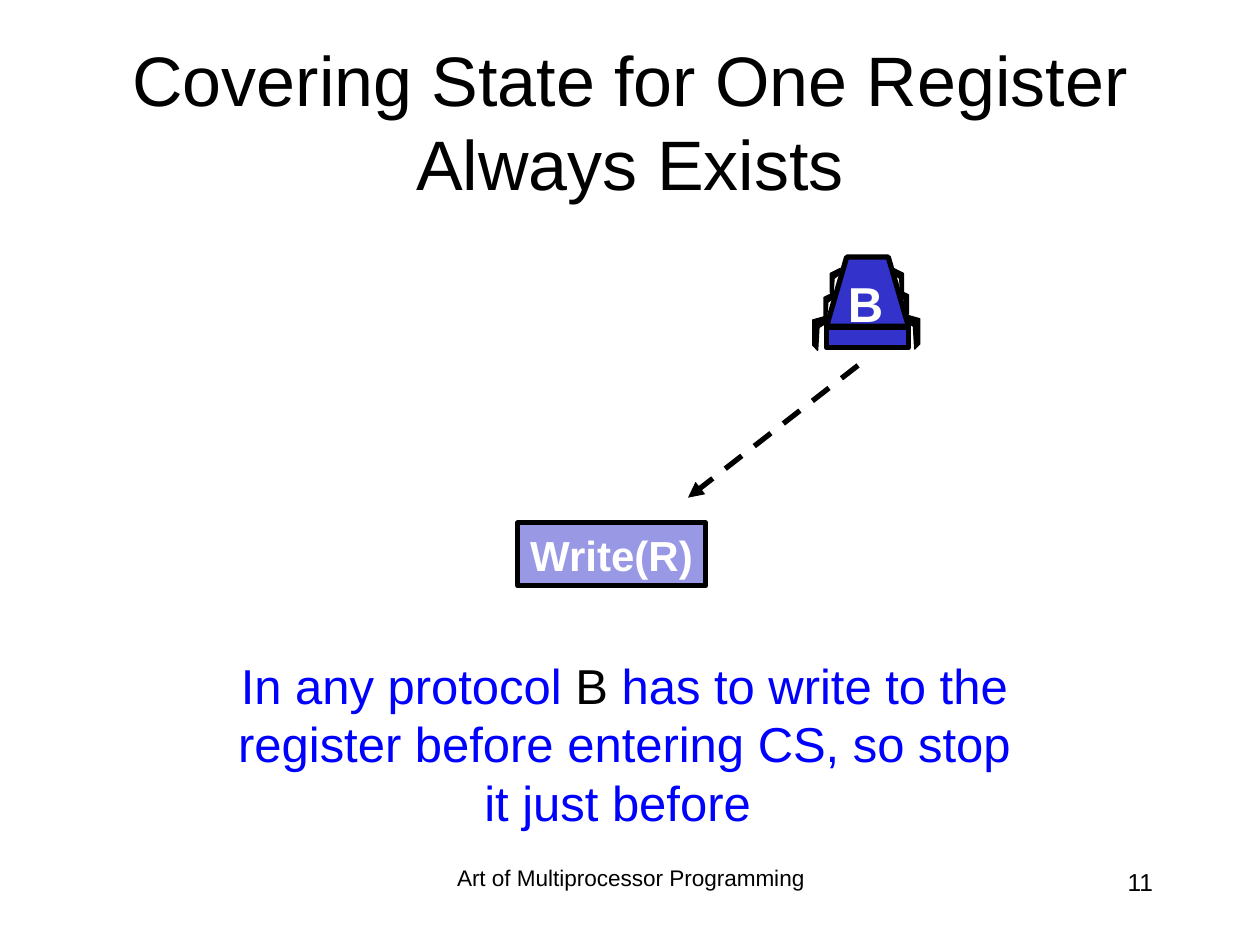
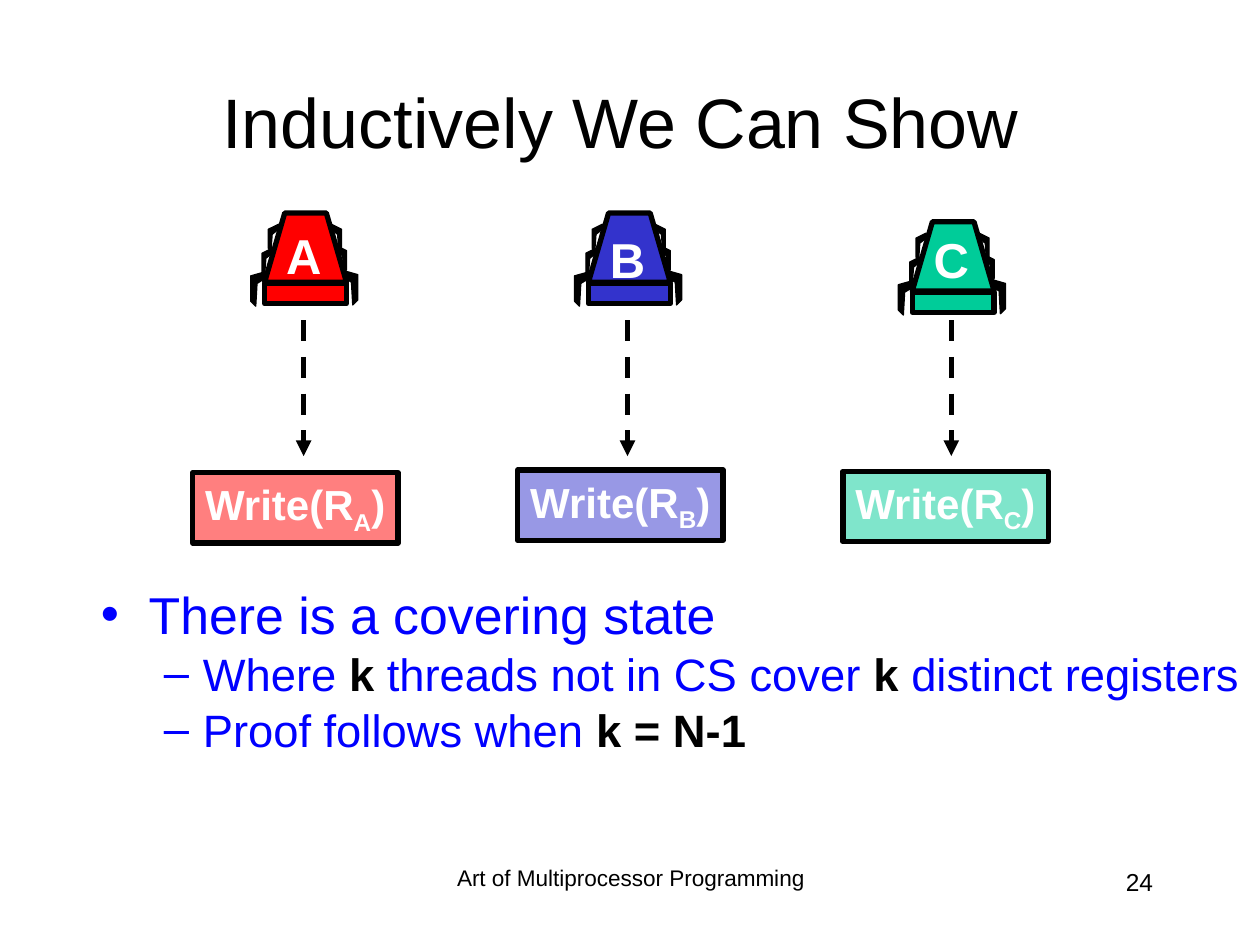
from dataclasses import dataclass
from typing import NamedTuple

from lxml.etree import SubElement
from pptx import Presentation
from pptx.dml.color import RGBColor
from pptx.enum.dml import MSO_LINE
from pptx.enum.shapes import MSO_CONNECTOR, MSO_SHAPE
from pptx.enum.text import MSO_ANCHOR, MSO_AUTO_SIZE, PP_ALIGN
from pptx.oxml.ns import qn
from pptx.util import Emu, Pt

PX = 9144  # EMU per px, 100 px to the inch
FONT = "Arial"

BLACK = RGBColor(0x00, 0x00, 0x00)
WHITE = RGBColor(0xFF, 0xFF, 0xFF)
BLUE = RGBColor(0x00, 0x00, 0xFF)
THREAD_A = RGBColor(0xFF, 0x00, 0x00)
THREAD_B = RGBColor(0x33, 0x33, 0xCC)
THREAD_C = RGBColor(0x00, 0xCC, 0x99)

BOOK = "Art of Multiprocessor Programming"

# Outlines in px, relative to the point where the leg joins the thread
SMALL_LEG = [(0, 0), (8, 4), (8, 19), (6, 22), (5, 8), (0, 4)]
BIG_LEG = [(0, 0), (14, 4), (14, 24), (10, 28), (9, 10), (1, 5)]
TORSO = [(0, 55), (16, 0), (49, 0), (65, 55)]


class Box(NamedTuple):
    left: int
    top: int
    width: int
    height: int


class Words(NamedTuple):
    text: str
    color: RGBColor = BLUE
    bold: bool = False
    baseline: int = 0


class Leg(NamedTuple):
    x: int
    y: int
    side: int  # 1 points right, -1 points left
    outline: list


BACK_LEGS = [Leg(60, 45, 1, BIG_LEG), Leg(57, 26, 1, SMALL_LEG),
             Leg(3, 46, -1, BIG_LEG), Leg(6, 28, -1, SMALL_LEG)]
FRONT_LEGS = [Leg(53, 9, 1, SMALL_LEG), Leg(11, 9, -1, SMALL_LEG)]


@dataclass
class Thread:
    letter: str
    color: RGBColor
    left: int
    top: int
    letter_drop: int = 8


@dataclass
class Register:
    color: RGBColor
    box: Box
    index: str = ""


@dataclass
class Bullet:
    level: int
    size: float
    space_before: int
    margin: int
    hanging: int
    words: list


def emu(*lengths: int) -> list:
    return [Emu(length * PX) for length in lengths]


def add_words(paragraph, words: list, size: float) -> None:
    for part in words:
        run = paragraph.add_run()
        run.text = part.text
        run.font.name = FONT
        run.font.size = Pt(size)
        run.font.bold = part.bold
        run.font.color.rgb = part.color
        if part.baseline:
            run.font._element.set("baseline", str(part.baseline * 1000))


def add_text(shapes, box: Box, words: list, size: float,
             align=PP_ALIGN.CENTER, wrap: bool = True):
    frame = shapes.add_textbox(*emu(*box)).text_frame
    frame.word_wrap = wrap
    paragraph = frame.paragraphs[0]
    paragraph.alignment = align
    add_words(paragraph, words, size)
    return paragraph


def paint(shape, fill: RGBColor, line_width: float) -> None:
    shape.shadow.inherit = False
    shape.fill.solid()
    shape.fill.fore_color.rgb = fill
    shape.line.color.rgb = BLACK
    shape.line.width = Pt(line_width)


def draw_outline(shapes, points: list, fill: RGBColor, line_width: float) -> None:
    builder = shapes.build_freeform(*points[0], scale=PX)
    builder.add_line_segments(points[1:], close=True)
    paint(builder.convert_to_shape(), fill, line_width)


def draw_thread(slide, thread: Thread) -> None:
    parts = slide.shapes.add_group_shape().shapes
    left, top = thread.left, thread.top

    def draw_legs(legs: list) -> None:
        for leg in legs:
            points = [(left + leg.x + leg.side * x, top + leg.y + y)
                      for x, y in leg.outline]
            draw_outline(parts, points, BLACK, 0.75)

    draw_legs(BACK_LEGS)
    draw_outline(parts, [(left + x, top + y) for x, y in TORSO], thread.color, 3)
    base = parts.add_shape(MSO_SHAPE.RECTANGLE, *emu(left, top + 56, 65, 16))
    paint(base, thread.color, 3)
    draw_legs(FRONT_LEGS)
    add_text(parts, Box(left + 7, top + thread.letter_drop, 48, 57),
             [Words(thread.letter, WHITE, True)], 28, wrap=False)


def draw_register(slide, register: Register) -> None:
    """Draw the half-transparent box of a pending write."""
    shape = slide.shapes.add_shape(MSO_SHAPE.RECTANGLE, *emu(*register.box))
    paint(shape, register.color, 3)
    tint = shape.element.spPr.find(qn("a:solidFill")).find(qn("a:srgbClr"))
    SubElement(tint, qn("a:alpha")).set("val", "50000")
    frame = shape.text_frame
    frame.word_wrap = False
    frame.auto_size = MSO_AUTO_SIZE.SHAPE_TO_FIT_TEXT
    frame.vertical_anchor = MSO_ANCHOR.TOP
    paragraph = frame.paragraphs[0]
    paragraph.alignment = PP_ALIGN.LEFT
    texts = [("Write(R", 0), (register.index, -25), (")", 0)]
    add_words(paragraph, [Words(text, WHITE, True, baseline)
                          for text, baseline in texts if text], 24)


def draw_arrow(slide, start: tuple, end: tuple) -> None:
    arrow = slide.shapes.add_connector(MSO_CONNECTOR.STRAIGHT, *emu(*start, *end))
    arrow.line.color.rgb = BLACK
    arrow.line.width = Pt(3)
    arrow.line.dash_style = MSO_LINE.DASH
    properties = arrow.element.spPr
    SubElement(properties.find(qn("a:ln")), qn("a:tailEnd")).set("type", "triangle")
    SubElement(properties, qn("a:effectLst"))


def place(placeholder, box: Box):
    """Move a placeholder and return its text frame."""
    (placeholder.left, placeholder.top,
     placeholder.width, placeholder.height) = emu(*box)
    frame = placeholder.text_frame
    frame.word_wrap = True
    frame.auto_size = MSO_AUTO_SIZE.NONE
    return frame


def add_slide(deck, layout: str, title: str, number: int):
    """Add a slide with the shared title style and footer."""
    slide = deck.slides.add_slide(deck.slide_layouts.get_by_name(layout))
    heading = place(slide.shapes.title, Box(75, 33, 850, 125))
    heading.vertical_anchor = MSO_ANCHOR.MIDDLE
    heading.paragraphs[0].alignment = PP_ALIGN.CENTER
    add_words(heading.paragraphs[0], [Words(title, BLACK)], 40)
    book = add_text(slide.shapes, Box(342, 683, 317, 50), [Words(BOOK, BLACK)], 12.9)
    book.line_spacing = 0.9
    add_text(slide.shapes, Box(717, 683, 208, 50), [Words(str(number), BLACK)], 14,
             PP_ALIGN.RIGHT)
    return slide


def fill_list(frame, bullets: list) -> None:
    for position, bullet in enumerate(bullets):
        paragraph = frame.add_paragraph() if position else frame.paragraphs[0]
        paragraph.level = bullet.level
        paragraph.line_spacing = 0.8
        paragraph.space_before = Pt(bullet.space_before)
        properties = paragraph._p.get_or_add_pPr()
        properties.set("marL", str(bullet.margin * PX))
        properties.set("indent", str(-bullet.hanging * PX))
        add_words(paragraph, bullet.words, bullet.size)


def build_one_register(deck) -> None:
    slide = add_slide(deck, "Title Only",
                      "Covering State for One Register Always Exists", 11)
    draw_register(slide, Register(THREAD_B, Box(411, 415, 149, 50)))
    draw_thread(slide, Thread("B", THREAD_B, 656, 204))
    draw_arrow(slide, (681, 290), (546, 395))
    add_text(slide.shapes, Box(166, 515, 659, 150), [
        Words("In any protocol "),
        Words("B", BLACK),
        Words(" has to write to the register before entering CS, "
              "so stop it just before "),
    ], 28)


def build_induction(deck) -> None:
    slide = add_slide(deck, "Title and Content", "Inductively We Can Show ", 24)
    covering_state = [
        Bullet(0, 29.6, 8, 38, 38, [Words("There is a covering state")]),
        Bullet(1, 25.9, 7, 81, 31, [
            Words("Where "), Words("k", BLACK, True),
            Words(" threads not in CS cover "), Words("k", BLACK, True),
            Words(" distinct registers")]),
        Bullet(1, 25.9, 7, 81, 31, [
            Words("Proof follows when "), Words("k = N-1", BLACK, True)]),
    ]
    fill_list(place(slide.placeholders[1], Box(70, 467, 930, 170)), covering_state)

    pitch = 257
    threads = [Thread("A", THREAD_A, 210, 169, 5),
               Thread("B", THREAD_B, 210 + pitch, 169),
               Thread("C", THREAD_C, 210 + 2 * pitch, 176, 1)]
    for column, (thread, register_top) in enumerate(zip(threads, (375, 373, 374))):
        draw_thread(slide, thread)
        box = Box(153 + 258 * column, register_top, 163, 56)
        draw_register(slide, Register(thread.color, box, thread.letter))
        arrow_x = thread.left + 31
        draw_arrow(slide, (arrow_x, 254), (arrow_x, 362))


def main() -> None:
    deck = Presentation()
    deck.slide_width, deck.slide_height = emu(1000, 750)
    build_one_register(deck)
    build_induction(deck)
    deck.save("out.pptx")


if __name__ == "__main__":
    main()
